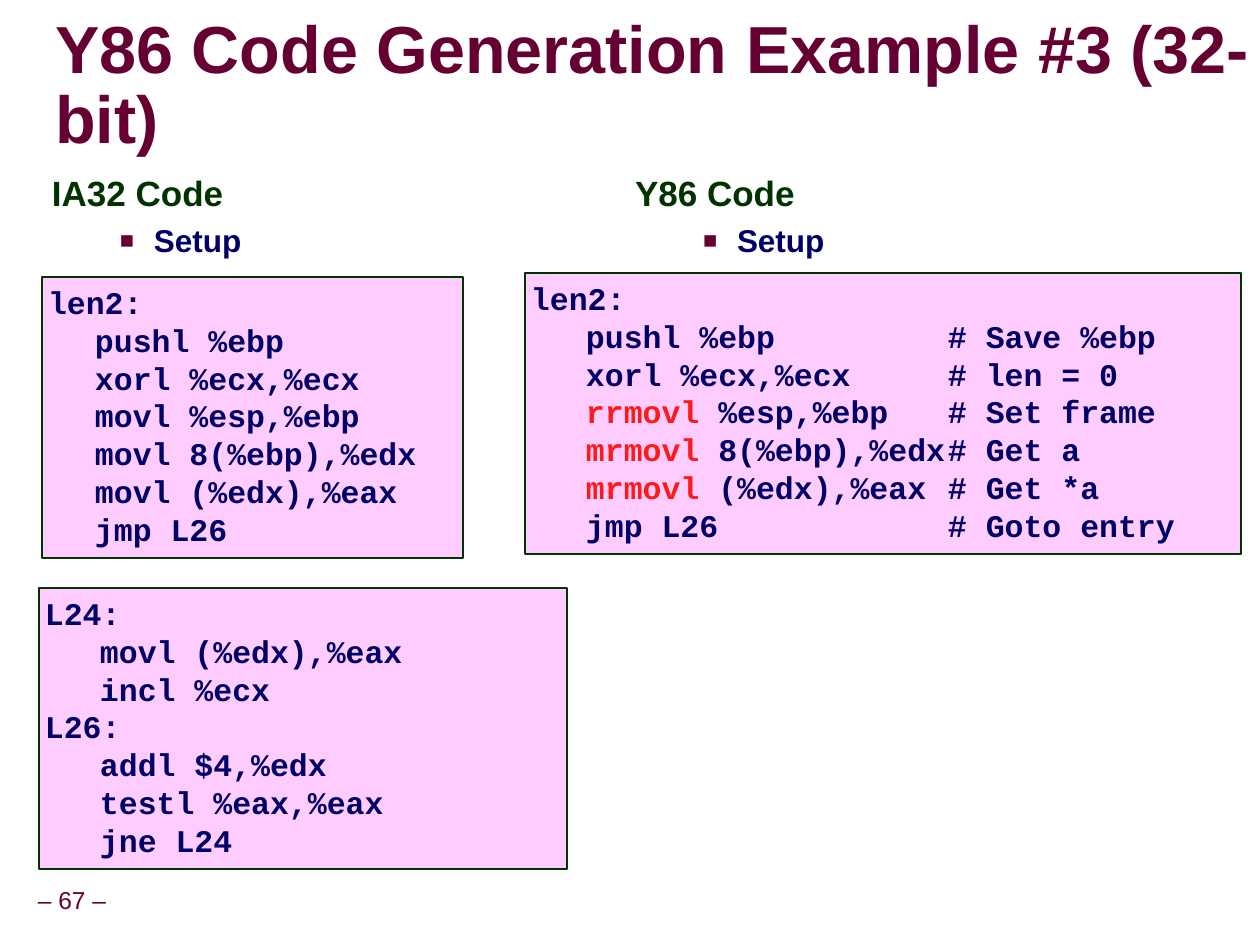
import pptx
import pptx.util
import pptx.dml.color
import pptx.enum.shapes
import pptx.enum.text
import pptx.oxml
from pptx.oxml.ns import nsdecls, qn

PX = 914400 // 126
MAROON, GREEN, NAVY, PINK, RED = "660033", "003300", "000066", "FFCCFF", "FF1A1A"
NEW_INSTRUCTIONS = ("rrmovl", "mrmovl")

TITLE = "Y86 Code Generation Example #3 (32-bit)"
TITLE_BOX = (55, 34, 1201, 107)
PAGE_NUMBER = "– 67 –"
PAGE_BOX = (29, 882, 86, 40)

# heading, item, box
COLUMNS = [
    ("IA32 Code", "Setup", (40, 169, 562, 63)),
    ("Y86 Code", "Setup", (623, 169, 562, 719)),
]

# box, tab stops, rows of (label, instruction, comment)
LISTINGS = [
    ((42, 277, 421, 281), (47,), [
        ("len2:",),
        ("", "pushl %ebp"),
        ("", "xorl %ecx,%ecx"),
        ("", "movl %esp,%ebp"),
        ("", "movl 8(%ebp),%edx"),
        ("", "movl (%edx),%eax"),
        ("", "jmp L26"),
    ]),
    ((525, 273, 716, 281), (55, 417), [
        ("len2:", ""),
        ("", "pushl %ebp", "# Save %ebp"),
        ("", "xorl %ecx,%ecx", "# len = 0"),
        ("", "rrmovl %esp,%ebp", "# Set frame"),
        ("", "mrmovl 8(%ebp),%edx", "# Get a"),
        ("", "mrmovl (%edx),%eax", "# Get *a"),
        ("", "jmp L26", "# Goto entry"),
    ]),
    ((39, 588, 528, 281), (55,), [
        ("L24:",),
        ("", "movl (%edx),%eax"),
        ("", "incl %ecx"),
        ("L26:",),
        ("", "addl $4,%edx"),
        ("", "testl %eax,%eax"),
        ("", "jne L24"),
    ]),
]


def rgb(color):
    return pptx.dml.color.RGBColor.from_string(color)


def scaled(box):
    return [value * PX for value in box]


def place(shape, box):
    shape.left, shape.top, shape.width, shape.height = scaled(box)


def style(run, size, color, face="Arial", bold=True):
    run.font.size = pptx.util.Pt(size)
    run.font.name = face
    run.font.bold = bold
    run.font.color.rgb = rgb(color)


def set_frame(frame, inset_x, inset_y, anchor="TOP"):
    frame.margin_left = frame.margin_right = inset_x * PX
    frame.margin_top = frame.margin_bottom = inset_y * PX
    frame.vertical_anchor = getattr(pptx.enum.text.MSO_ANCHOR, anchor)
    frame.auto_size = pptx.enum.text.MSO_AUTO_SIZE.NONE
    frame.word_wrap = True


def add_text_shadow(run):
    effects = pptx.oxml.parse_xml(
        f'<a:effectLst {nsdecls("a")}><a:outerShdw blurRad="38100" dist="38100" dir="2700000">'
        '<a:srgbClr val="C0C0C0"/></a:outerShdw></a:effectLst>')
    run.font._element.find(qn("a:solidFill")).addnext(effects)


def add_square_bullet(paragraph):
    properties = paragraph._p.get_or_add_pPr()
    properties.set("marL", str(102 * PX))
    properties.set("indent", str(-34 * PX))
    for xml in (f'<a:buClr {nsdecls("a")}><a:srgbClr val="{MAROON}"/></a:buClr>',
                f'<a:buSzPct {nsdecls("a")} val="75000"/>',
                f'<a:buFont {nsdecls("a")} typeface="Arial"/>',
                f'<a:buChar {nsdecls("a")} char="■"/>'):
        properties.append(pptx.oxml.parse_xml(xml))


def remove_bullet(paragraph):
    properties = paragraph._p.get_or_add_pPr()
    properties.set("marL", "0")
    properties.set("indent", "0")
    properties.append(pptx.oxml.parse_xml(f'<a:buNone {nsdecls("a")}/>'))


def set_tabs(paragraph, stops):
    tabs = "".join(f'<a:tab pos="{stop * PX}" algn="l"/>' for stop in stops)
    paragraph._p.get_or_add_pPr().append(
        pptx.oxml.parse_xml(f'<a:tabLst {nsdecls("a")}>{tabs}</a:tabLst>'))


def fill_title(title):
    place(title, TITLE_BOX)
    title.text_frame.text = TITLE
    set_frame(title.text_frame, 0, 0, "MIDDLE")
    heading = title.text_frame.paragraphs[0]
    heading.alignment = pptx.enum.text.PP_ALIGN.LEFT
    heading.line_spacing = 0.87
    style(heading.runs[0], 38, MAROON)
    add_text_shadow(heading.runs[0])


def fill_column(body, heading_text, item_text, box):
    place(body, box)
    body.text_frame.text = f"{heading_text}\n{item_text}"
    set_frame(body.text_frame, 12, 6)
    heading, item = body.text_frame.paragraphs
    item.level = 1
    for paragraph, space, size, color in ((heading, 10, 20, GREEN), (item, 5, 18, NAVY)):
        paragraph.line_spacing = 0.95
        paragraph.space_before = pptx.util.Pt(space)
        style(paragraph.runs[0], size, color)
    remove_bullet(heading)
    add_square_bullet(item)


def add_code(paragraph, fields):
    """Write one row, with the instructions new in Y86 in red."""
    line = "\t".join(fields)
    word = next((name for name in NEW_INSTRUCTIONS if line.startswith("\t" + name)), "")
    parts = ["\t", word, line[1 + len(word):]] if word else [line]
    for part in parts:
        run = paragraph.add_run()
        run.text = part
        style(run, 18, RED if part == word else NAVY, "Courier New")


def add_listing(slide, box, stops, rows):
    panel = slide.shapes.add_shape(pptx.enum.shapes.MSO_SHAPE.RECTANGLE, *scaled(box))
    panel.shadow.inherit = False
    panel.fill.solid()
    panel.fill.fore_color.rgb = rgb(PINK)
    panel.line.color.rgb = rgb(GREEN)
    panel.line.width = pptx.util.Pt(1.5)
    frame = panel.text_frame
    set_frame(frame, 6, 6)
    for number, fields in enumerate(rows):
        paragraph = frame.add_paragraph() if number else frame.paragraphs[0]
        paragraph.alignment = pptx.enum.text.PP_ALIGN.LEFT
        set_tabs(paragraph, stops)
        add_code(paragraph, fields)


def add_page_number(slide):
    frame = slide.shapes.add_textbox(*scaled(PAGE_BOX)).text_frame
    frame.text = PAGE_NUMBER
    set_frame(frame, 6, 6, "MIDDLE")
    frame.word_wrap = False
    paragraph = frame.paragraphs[0]
    paragraph.alignment = pptx.enum.text.PP_ALIGN.CENTER
    paragraph.line_spacing = 0.9
    style(paragraph.runs[0], 14, MAROON, bold=False)


def main():
    deck = pptx.Presentation()
    deck.slide_width, deck.slide_height = scaled((1260, 945))
    slide = deck.slides.add_slide(deck.slide_layouts.get_by_name("Two Content"))
    title, *bodies = slide.placeholders
    add_page_number(slide)
    fill_title(title)
    for body, column in zip(bodies, COLUMNS):
        fill_column(body, *column)
    for listing in LISTINGS:
        add_listing(slide, *listing)
    deck.save("out.pptx")


if __name__ == "__main__":
    main()
